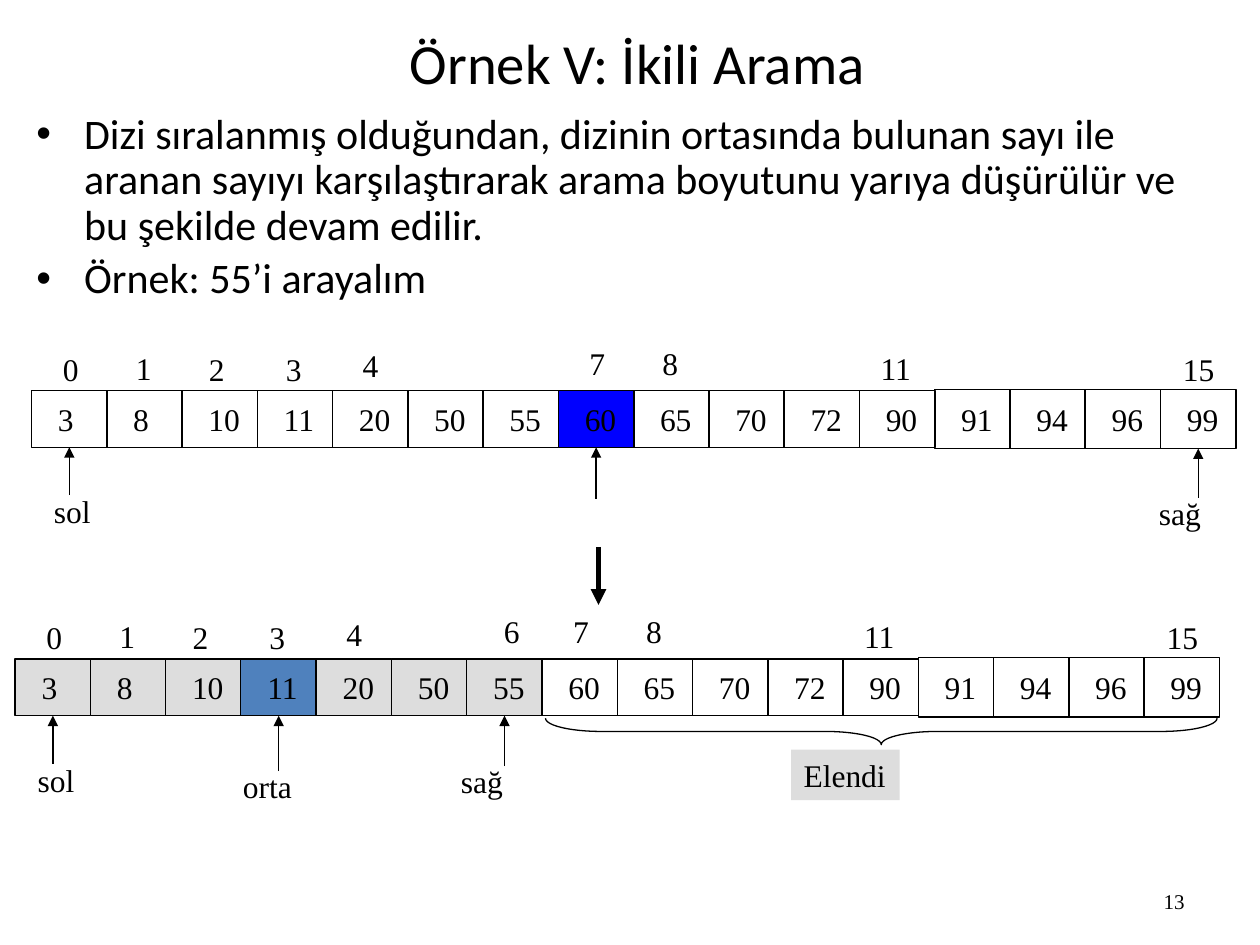
"""Build the binary search slide: two array rows with pointers."""
import pptx
import pptx.util
import pptx.dml.color
import pptx.enum.shapes
import pptx.enum.text
import pptx.oxml.ns
import lxml.etree

Inches = pptx.util.Inches
Pt = pptx.util.Pt
RGB = pptx.dml.color.RGBColor.from_string
KIND = pptx.enum.shapes.MSO_SHAPE
ALIGN = pptx.enum.text.PP_ALIGN
ANCHOR = pptx.enum.text.MSO_ANCHOR
FIT = pptx.enum.text.MSO_AUTO_SIZE
QN = pptx.oxml.ns.qn
INK = {"black": "000000", "gray": "DDDDDD", "steel": "4F81BD", "blue": "0000FF"}

deck = pptx.Presentation()
deck.slide_width, deck.slide_height = Inches(10), Inches(7.5)
slide = deck.slides.add_slide(deck.slide_layouts[6])
shapes = slide.shapes


def write(text, at, shape=None, size=18, font="Times New Roman", align=ALIGN.LEFT,
          anchor=ANCHOR.TOP, wrap=False, inset=0.1, bullet=False):
    """Put text in the given shape, or in a new text box."""
    box = shape or shapes.add_textbox(*map(Inches, at))
    frame = box.text_frame
    frame.word_wrap = wrap
    frame.auto_size = FIT.NONE if wrap or shape else FIT.SHAPE_TO_FIT_TEXT
    frame.vertical_anchor = anchor
    frame.margin_left = Inches(inset)
    frame.text = text
    for i, para in enumerate(frame.paragraphs):
        para.alignment = align
        if bullet:
            para.line_spacing = 0.9
            para.space_before = Pt(4.8 if i else 0)
            props = para._p.get_or_add_pPr()
            props.set("marL", str(Inches(0.38)))
            props.set("indent", str(-Inches(0.38)))
            lxml.etree.SubElement(props, QN("a:buFont")).set("typeface", "Arial")
            lxml.etree.SubElement(props, QN("a:buChar")).set("char", "•")
        para.font.size = Pt(size)
        para.font.name = font
        para.font.color.rgb = RGB(INK["black"])
    return box


def arrow(x, start, end, width=0.75):
    """Draw a vertical arrow."""
    line = shapes.add_connector(pptx.enum.shapes.MSO_CONNECTOR.STRAIGHT,
                                Inches(x), Inches(start), Inches(x), Inches(end))
    line.line.color.rgb = RGB(INK["black"])
    line.line.width = Pt(width)
    lxml.etree.SubElement(line.line._get_or_add_ln(), QN("a:tailEnd")).set("type", "triangle")
    lxml.etree.SubElement(line._element.spPr, QN("a:effectLst"))
    return line


write("Örnek V: İkili Arama", (0.58, 0.16, 8.96, 0.67), size=32.4, font="Calibri",
      align=ALIGN.CENTER, anchor=ANCHOR.MIDDLE, wrap=True)
write("Dizi sıralanmış olduğundan, dizinin ortasında bulunan sayı ile aranan sayıyı "
      "karşılaştırarak arama boyutunu yarıya düşürülür ve bu şekilde devam edilir.\n"
      "Örnek: 55’i arayalım", (0.19, 0.85, 9.64, 1.63), size=24, font="Calibri",
      wrap=True, bullet=True)
write("13", (7.17, 6.95, 2.33, 0.4), size=12, align=ALIGN.RIGHT,
      anchor=ANCHOR.MIDDLE, wrap=True)

nums = [3, 8, 10, 11, 20, 50, 55, 60, 65, 70, 72, 90, 91, 94, 96, 99]
step = 8.96 / 15
wide = {"sol": 0.52, "sağ": 0.56, "orta": 0.64}
marks = {0: (0.15, 0.37), 1: (0.73, 0.38), 2: (1.31, 0.37), 3: (1.92, 0.37),
         4: (2.53, 0.4), 6: (3.78, 0.42), 7: (4.33, 0.42), 8: (4.91, 0.42),
         11: (6.64, 0.38), 15: (9.04, 0.37)}
rows = [
    dict(left=0.25, top=3.1, fills={7: "blue"}, skip=6,
         tags=[(0, "sol", 0.33, 3.86, 3.93), (15, "sağ", 9.1, 3.87, 3.95),
               (7, "", 0, 0, 3.96)]),
    dict(left=0.12, top=5.23, fills={**dict.fromkeys(range(7), "gray"), 3: "steel"}, skip=None,
         tags=[(0, "sol", 0.2, 5.99, 6.06), (6, "sağ", 3.56, 6, 6.08),
               (3, "orta", 1.83, 6.04, 6.12)]),
]
for row in rows:
    left, top = row["left"], row["top"]
    cells = []
    for i, num in enumerate(nums):
        late = i > 11
        cell = shapes.add_shape(KIND.RECTANGLE, Inches(left + i * step),
                                Inches(top - 0.01 * late), Inches(0.6),
                                Inches(0.47 if late else 0.45))
        cell.shadow.inherit = False
        cell.line.color.rgb = RGB(INK["black"])
        cell.line.width = Pt(0.75)
        if i in row["fills"]:
            cell.fill.solid()
            cell.fill.fore_color.rgb = RGB(INK[row["fills"][i]])
        else:
            cell.fill.background()
        write(str(num), None, shape=cell, anchor=ANCHOR.MIDDLE, inset=0.21)
        cells.append(cell)
    for i, (x, rise) in marks.items():
        if i != row["skip"]:
            write(str(i), (left + x, top - rise, 0.33 if i < 10 else 0.45, 0.4))
    for i, tag, x, y, start in row["tags"]:
        line = arrow(left + i * step + 0.3, start, top + 0.45)
        line.end_connect(cells[i], 2)
        line.begin_x = line.end_x
        if tag:
            write(tag, (x, y, wide[tag], 0.4))

arrow(4.75, 4.34, 4.8, width=3)
brace = shapes.add_shape(KIND.LEFT_BRACE, Inches(6.89), Inches(3.14), Inches(0.21), Inches(5.33))
brace.rotation = 270
brace.adjustments[0] = 2.11
brace.shadow.inherit = False
brace.fill.background()
brace.line.color.rgb = RGB(INK["black"])
brace.line.width = Pt(0.75)
out = write("Elendi", (6.28, 5.95, 0.86, 0.4))
out.fill.solid()
out.fill.fore_color.rgb = RGB(INK["gray"])

deck.save("out.pptx")
